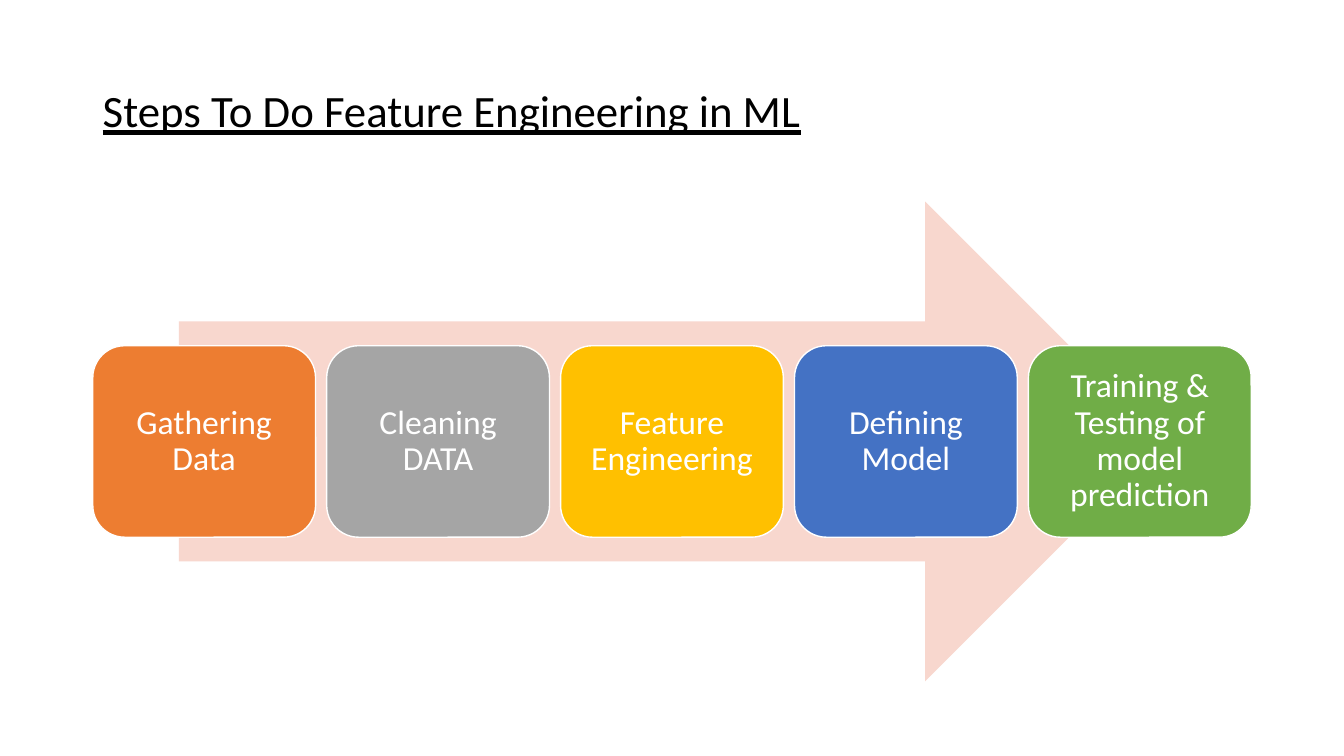
from pptx import Presentation
from pptx import util as u
from pptx.dml.color import RGBColor
from pptx.enum import shapes, text

WIDTH, HEIGHT = 13.33, 7.5
MARGIN = 0.92
PITCH = 2.32
STEP_WIDTH, STEP_HEIGHT = 2.21, 1.9
ARROW_WIDTH, ARROW_HEIGHT = 9.78, 4.76
FLOW_MIDDLE = 4.38

steps = [
    ("Gathering Data", "ED7D31"),
    ("Cleaning DATA", "A5A5A5"),
    ("Feature Engineering", "FFC000"),
    ("Defining Model", "4472C4"),
    ("Training & Testing of model prediction", "70AD47"),
]


def paint(target, colour):
    target.solid()
    target.fore_color.rgb = RGBColor.from_string(colour)


def write(frame, words, size, colour, align, inset):
    frame.word_wrap = True
    frame.vertical_anchor = text.MSO_ANCHOR.MIDDLE
    frame.margin_left = frame.margin_right = u.Inches(inset)
    paragraph = frame.paragraphs[0]
    paragraph.text = words
    paragraph.alignment = align
    paragraph.line_spacing = 0.9
    paragraph.font.name = "Calibri"
    paragraph.font.size = u.Pt(size)
    paint(paragraph.font.fill, colour)
    return paragraph


deck = Presentation()
deck.slide_width, deck.slide_height = u.Inches(WIDTH), u.Inches(HEIGHT)
slide = deck.slides.add_slide(deck.slide_layouts[6])

heading = slide.shapes.add_textbox(
    u.Inches(MARGIN), u.Inches(0.4), u.Inches(WIDTH - 2 * MARGIN), u.Inches(1.45))
heading_line = write(heading.text_frame, "Steps To Do Feature Engineering in ML",
                     32, "000000", text.PP_ALIGN.LEFT, 0.1)
heading_line.font.underline = True

flow = slide.shapes.add_shape(
    shapes.MSO_SHAPE.RIGHT_ARROW,
    u.Inches((WIDTH - ARROW_WIDTH) / 2), u.Inches(FLOW_MIDDLE - ARROW_HEIGHT / 2),
    u.Inches(ARROW_WIDTH), u.Inches(ARROW_HEIGHT))
flow.shadow.inherit = False
paint(flow.fill, "F8D7CE")
flow.line.fill.background()

for column, (label, colour) in enumerate(steps):
    step = slide.shapes.add_shape(
        shapes.MSO_SHAPE.ROUNDED_RECTANGLE,
        u.Inches(MARGIN + column * PITCH), u.Inches(FLOW_MIDDLE - STEP_HEIGHT / 2),
        u.Inches(STEP_WIDTH), u.Inches(STEP_HEIGHT))
    step.shadow.inherit = False
    paint(step.fill, colour)
    paint(step.line.fill, "FFFFFF")
    step.line.width = u.Pt(1)
    write(step.text_frame, label, 24, "FFFFFF", text.PP_ALIGN.CENTER, 0.1)

deck.save("out.pptx")
